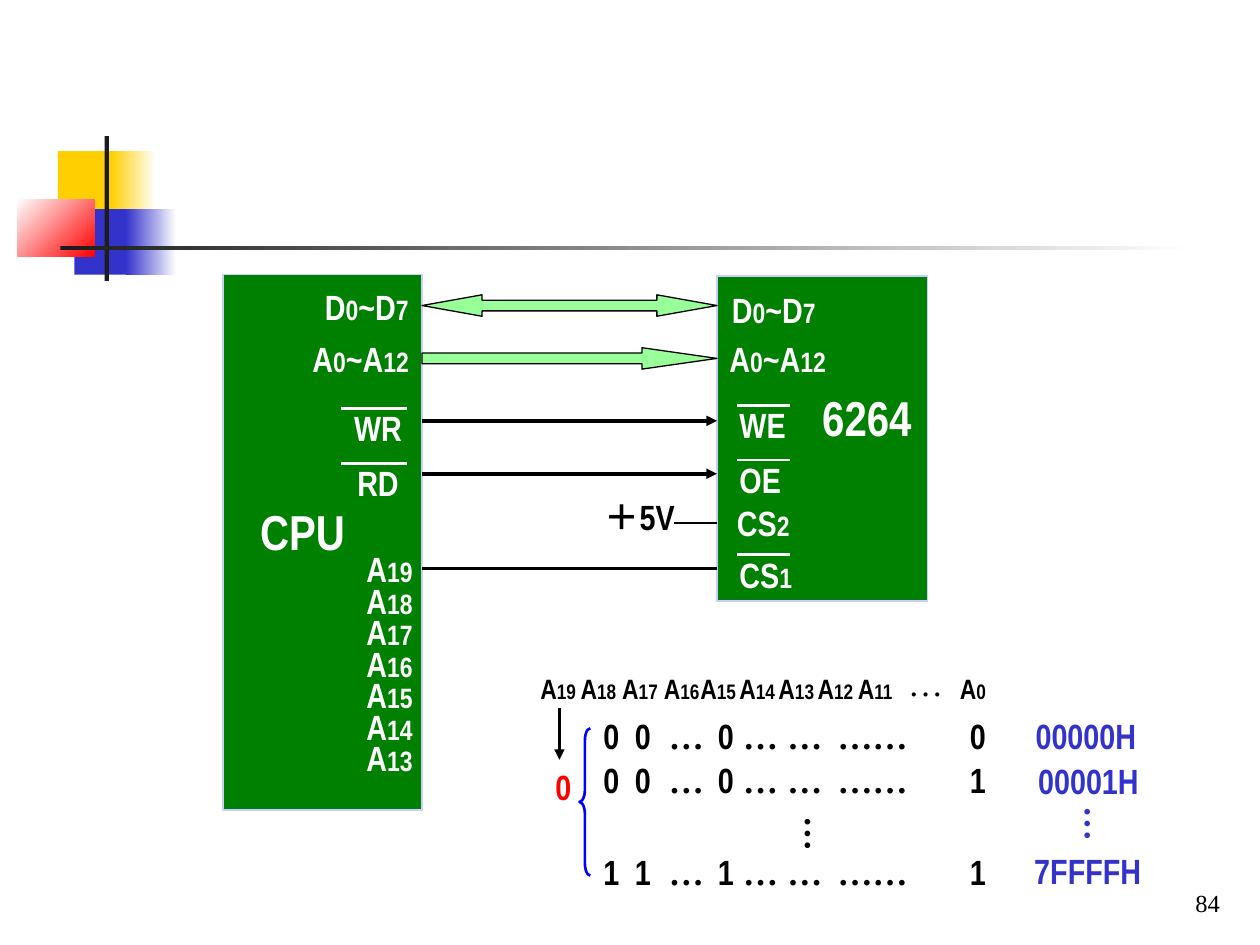
from itertools import groupby

from lxml.etree import SubElement
from pptx import Presentation
from pptx.dml.color import RGBColor
from pptx.enum.shapes import MSO_CONNECTOR, MSO_SHAPE
from pptx.enum.text import MSO_ANCHOR, PP_ALIGN
from pptx.oxml.ns import qn
from pptx.util import Inches, Pt

# Every length is counted in cells of a grid of 100 columns by 75 rows.
COLS, ROWS = 100, 75
CELL = Inches(10) / COLS

C = {
    "black": "000000", "white": "FFFFFF", "ink": "1C1C1C", "yellow": "FFCF01",
    "blue": "3333CC", "red": "FF0000", "chip": "008000", "chip_edge": "CCCCFF",
    "bus": "99FF99", "brace": "0000FF",
}
SANS, SERIF = "Arial Narrow", "Times New Roman"

# left, top, width, height, colour, colour it fades to, angle
ORNAMENT = [
    (4.6, 12, 4.8, 5.2, "yellow", None, 0),
    (8.8, 12, 3.6, 5.2, "yellow", "white", 0),
    (5.9, 16.6, 4.6, 5.2, "blue", None, 0),
    (10, 16.6, 4, 5.2, "blue", "white", 0),
    (1.4, 15.8, 6.1, 4.6, "white", "red", 315),
    (8.3, 10.8, 0.35, 11.5, "ink", None, 0),
    (4.8, 19.5, 90, 0.35, "ink", "white", 0),
]

CPU_LEFT, CPU_RIGHT, RAM_LEFT = 17.7, 33.5, 56.9
CHIPS = [(CPU_LEFT, 21.8, CPU_RIGHT - CPU_LEFT, 42.5), (RAM_LEFT, 21.9, 16.7, 25.8)]

# text, left, top, width
CPU_PINS = [("D0~D7", 24.8, 22.2, 9.2), ("A0~A12", 23.8, 26.3, 10.8)]
CPU_PINS += [(f"A{19 - i}", 28.1, 43 + 2.5 * i, 5.8) for i in range(7)]
RAM_PINS = [
    ("D0~D7", 57.1, 22.4, 9.2), ("A0~A12", 56.9, 26.3, 10.8), ("WE", 57.7, 31.5, 5.8),
    ("OE", 57.7, 35.9, 5.8), ("CS2", 57.5, 39.3, 7.5), ("CS1", 57.7, 43.4, 6.7),
]
CPU_CONTROLS = [("WR", 26.9, 31.8, 6.2), ("RD", 26.9, 36.1, 6.2)]
NAMES = [("CPU", 19.4, 39.3, 9.2), ("6264", 63.8, 30.3, 10)]

# shape, top, share of the height taken by each head
BUSES = [(MSO_SHAPE.LEFT_RIGHT_ARROW, 23.4, 2.8), (MSO_SHAPE.RIGHT_ARROW, 27.6, 3.5)]
# left, right, height on the slide
OVERBARS = [(27.1, 32.3, y) for y in (32.4, 36.8)] + [(58.5, 62.7, y) for y in (32.2, 36.5, 44)]
# left, height on the slide, width in points, arrowhead
WIRES = [(CPU_RIGHT, 33.4, 2, True), (CPU_RIGHT, 37.6, 2, True),
         (53.5, 41.5, 1.5, False), (CPU_RIGHT, 45.1, 1.5, False)]

HEADER_TOP = 52.8
HEADER = [("A19", 41.9), ("A18", 45.1), ("A17", 48.4), ("A16", 51.7), ("A15", 54.6),
          ("A14", 57.7), ("A13", 60.8), ("A12", 63.9), ("A11", 67.1), ("A0", 75.2)]
BIT_STOPS = (2.5, 5.2, 9.1, 11.1, 14.6, 18.6, 29.1)
BIT_ROWS = [
    (("0", "0", "…", "0", "…", "…", "……", "0"), 56.2),
    (("0", "0", "…", "0", "…", "…", "……", "1"), 59.7),
    (("1", "1", "…", "1", "…", "…", "……", "1"), 67),
]
ADDRESSES = [("00000H", 81.2, 56.2), ("00001H", 81.4, 59.8), ("7FFFFH", 81.1, 66.9)]
UPRIGHT_DOTS = [(60.8, 64, "black"), (83, 63.2, "blue")]

prs = Presentation()
prs.slide_width, prs.slide_height = int(COLS * CELL), int(ROWS * CELL)
shapes = prs.slides.add_slide(prs.slide_layouts[6]).shapes


def rgb(name):
    return RGBColor.from_string(C[name])


def grid(*lengths):
    return [round(v * CELL) for v in lengths]


def add_block(kind, box, fill=None, edge=None, weight=0.75):
    sp = shapes.add_shape(kind, *grid(*box))
    sp.shadow.inherit = False
    if fill:
        sp.fill.solid()
        sp.fill.fore_color.rgb = rgb(fill)
    else:
        sp.fill.background()
    if edge:
        sp.line.color.rgb = rgb(edge)
        sp.line.width = Pt(weight)
    else:
        sp.line.fill.background()
    return sp


def add_line(x1, y1, x2, y2, color, weight=1.5, arrow=False):
    line = shapes.add_connector(MSO_CONNECTOR.STRAIGHT, *grid(x1, y1, x2, y2))
    line.line.color.rgb = rgb(color)
    line.line.width = Pt(weight)
    if arrow:
        SubElement(line.line._get_or_add_ln(), qn("a:tailEnd"), type="triangle")
    SubElement(line._element.spPr, qn("a:effectLst"))


def add_text(runs, box, color, bold=True, align=PP_ALIGN.LEFT, wrap=True):
    """Add a text box; each run is (text, size, font)."""
    sp = shapes.add_textbox(*grid(*box))
    tf = sp.text_frame
    tf.word_wrap = wrap
    p = tf.paragraphs[0]
    p.alignment = align
    for text, size, face in runs:
        r = p.add_run()
        r.text = text
        r.font.size, r.font.name, r.font.bold = Pt(size), face, bold
        r.font.color.rgb = rgb(color)
    return sp


def add_signal(text, x, y, w, color="white", big=20, small=16, h=4.4):
    """Write a signal name with its digits in the smaller size."""
    runs = [("".join(part), small if digit else big, SANS)
            for digit, part in groupby(text, str.isdigit)]
    add_text(runs, (x, y, w, h), color)


for *box, color, fade, angle in ORNAMENT:
    sp = add_block(MSO_SHAPE.RECTANGLE, box, color)
    if fade:
        sp.fill.gradient()
        sp.fill.gradient_angle = angle
        for stop, name in zip(sp.fill.gradient_stops, (color, fade)):
            stop.color.rgb = rgb(name)

sp = add_text([("84", 14, SERIF)], (77, 68.3, 20.8, 5), "black", False, PP_ALIGN.RIGHT)
sp.text_frame.vertical_anchor = MSO_ANCHOR.BOTTOM

# Address table
for text, x in HEADER:
    add_signal(text, x, HEADER_TOP, 5, "black", 16, 12, 3.7)
add_text([("…", 20, SERIF)], (71.1, 52, 4.8, 4.4), "black", False, wrap=False)
add_line(44.4, 56.2, 44.4, 60.3, "black", arrow=True)
add_text([("0", 20, SANS)], (43.1, 60.3, 3.7, 7.7), "red")
brace = add_block(MSO_SHAPE.LEFT_BRACE, (46, 57.8, 0.85, 11.7), edge="brace", weight=1.5)
brace.adjustments[0] = 1.15

for bits, y in BIT_ROWS:
    runs = [("\t" * (i > 0) + bit, 20, SERIF if "…" in bit else SANS)
            for i, bit in enumerate(bits)]
    sp = add_text(runs, (46.9, y, 33.3, 4.4), "black")
    tabs = SubElement(sp.text_frame.paragraphs[0]._p.get_or_add_pPr(), qn("a:tabLst"))
    for stop in BIT_STOPS:
        SubElement(tabs, qn("a:tab"), pos=str(grid(stop)[0]), algn="l")

for text, x, y in ADDRESSES:
    add_text([(text, 20, SANS)], (x, y, 11.8, 4.4), "blue")
for x, y, color in UPRIGHT_DOTS:
    add_text([("…", 20, SERIF)], (x, y, 4.8, 4.4), color, wrap=False).rotation = 270

# Chips and their wiring
for box in CHIPS:
    add_block(MSO_SHAPE.RECTANGLE, box, "chip", "chip_edge")
for kind, y, head in BUSES:
    sp = add_block(kind, (CPU_RIGHT, y, RAM_LEFT - CPU_RIGHT, 1.7), "bus", "black")
    sp.adjustments[0], sp.adjustments[1] = 0.5, head
for x, y, weight, arrow in WIRES:
    add_line(x, y, RAM_LEFT, y, "black", weight, arrow)
for pin in CPU_PINS + RAM_PINS:
    add_signal(*pin)
for text, *place in CPU_CONTROLS:
    add_text([(text, 20, SANS)], (*place, 4.4), "white", align=PP_ALIGN.CENTER)
for x1, x2, y in OVERBARS:
    add_line(x1, y, x2, y, "white")
for text, *place in NAMES:
    add_text([(text, 28, SANS)], (*place, 5.7), "white", align=PP_ALIGN.CENTER)
add_text([("＋5V", 20, SANS)], (47, 38.8, 8.3, 4.4), "black")

prs.save("out.pptx")
